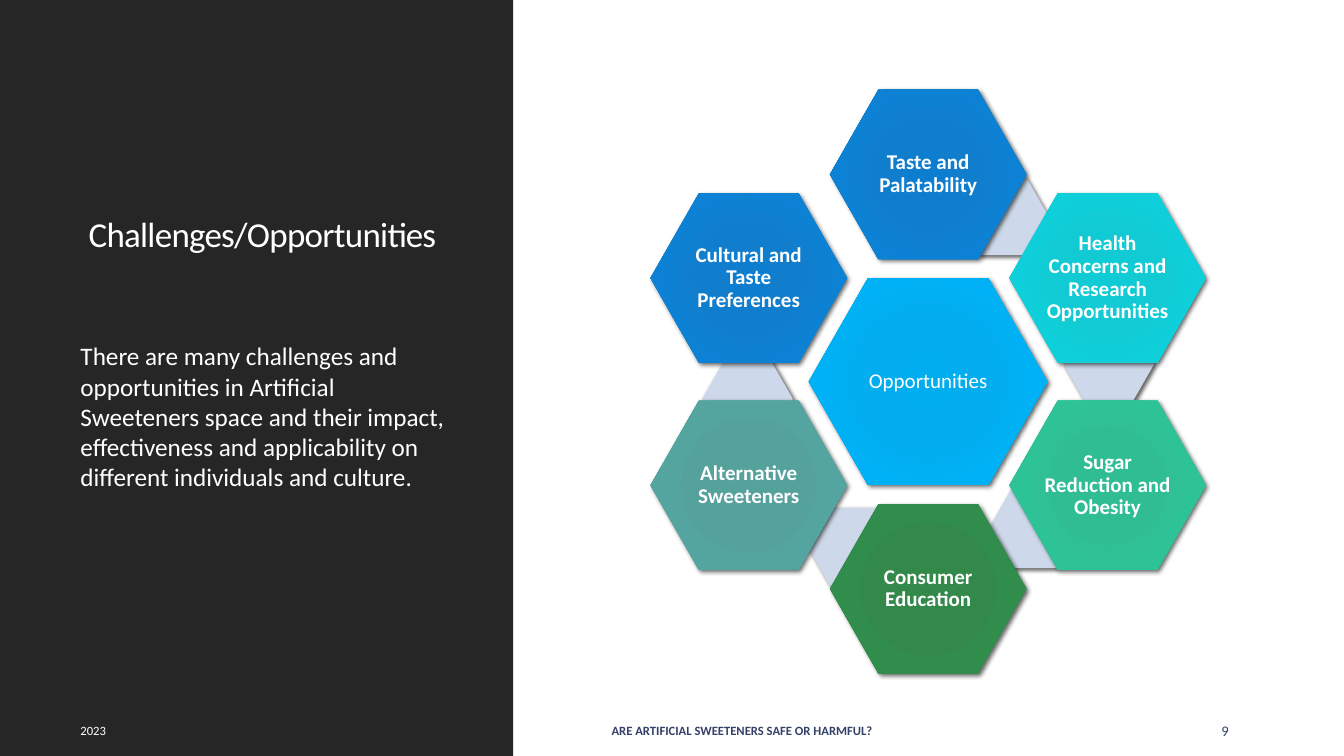
import math
import pptx
import pptx.util
import pptx.oxml
import pptx.oxml.ns
from pptx.dml.color import RGBColor
from pptx.enum.shapes import MSO_SHAPE
from pptx.enum.text import MSO_ANCHOR, PP_ALIGN

Pt = pptx.util.Pt

# Content
TITLE = "Challenges/Opportunities"
SUMMARY = ("There are many challenges and opportunities in Artificial Sweeteners space "
           "and their impact, effectiveness and applicability on different individuals "
           "and culture.")
YEAR = "2023"
FOOTER = "ARE ARTIFICIAL SWEETENERS SAFE OR HARMFUL?"
PAGE = "9"
HUB = "Opportunities"
HUB_SHADES = ("00ADEF", "03ADEE", "00B1F5", "12B1EE")
BLUE_SHADES = ("0D7ECF", "117ECD", "0D81D4", "1E84CE")
TOPICS = [  # clockwise from the top
    ("Taste and Palatability", BLUE_SHADES),
    ("Health Concerns and Research Opportunities", ("0ECBD5", "12CAD3", "0FD0DA", "20CBD4")),
    ("Sugar Reduction and Obesity", ("2DBE94", "30BD94", "2EC397", "3CC09A")),
    ("Consumer Education", ("2F8949", "32894A", "318D4B", "3A8C51")),
    ("Alternative Sweeteners", ("52A19C", "55A19C", "54A5A0", "5FA6A2")),
    ("Cultural and Taste Preferences", BLUE_SHADES),
]

# Style
FONT = "Calibri"
WHITE = RGBColor(0xFF, 0xFF, 0xFF)
CHARCOAL = RGBColor(0x26, 0x26, 0x26)
NAVY = RGBColor(0x34, 0x40, 0x68)
PALE_BLUE = RGBColor(0xCD, 0xD9, 0xEA)
STOPS = (0, 34, 70, 100)

# Ring geometry, in points
CENTER_X, CENTER_Y = 663, 272.6
HUB_SIZE = (170.6, 147.6)
TOPIC_SIZE = (140.4, 121)
ACCENT_SIZE = (64.8, 55.4)
TOPIC_RADIUS, ACCENT_RADIUS = 148, 129.6
STEP = 360 / len(TOPICS)
ACCENT_LEAD = 24.5  # degrees past the topic it belongs to

presentation = pptx.Presentation()
presentation.slide_width, presentation.slide_height = Pt(960), Pt(540)
slide = presentation.slides.add_slide(presentation.slide_layouts[6])


def style(paragraph, size, color, bold=False):
    font = paragraph.font
    font.name, font.size, font.bold = FONT, Pt(size), bold
    font.color.rgb = color


def add_text(text, left, top, width, height, size, color, anchor, bold=False):
    box = slide.shapes.add_textbox(Pt(left), Pt(top), Pt(width), Pt(height))
    frame = box.text_frame
    frame.word_wrap = True
    frame.vertical_anchor = anchor
    paragraph = frame.paragraphs[0]
    paragraph.text = text
    style(paragraph, size, color, bold)
    return paragraph


def on_ring(radius, degrees):
    angle = math.radians(degrees)
    return CENTER_X + radius * math.cos(angle), CENTER_Y + radius * math.sin(angle)


def add_hexagon(center, size, blur):
    (x, y), (width, height) = center, size
    hexagon = slide.shapes.add_shape(MSO_SHAPE.HEXAGON, Pt(x - width / 2), Pt(y - height / 2),
                                     Pt(width), Pt(height))
    hexagon.adjustments[0] = 0.286
    hexagon.line.fill.background()
    hexagon.shadow.inherit = False
    effects = hexagon._element.spPr.find(pptx.oxml.ns.qn("a:effectLst"))
    effects.append(pptx.oxml.parse_xml(
        f'<a:outerShdw {pptx.oxml.ns.nsdecls("a")} blurRad="{Pt(blur)}" dist="{Pt(2)}" '
        'dir="2700000" algn="tl" rotWithShape="0"><a:srgbClr val="000000">'
        '<a:alpha val="60000"/></a:srgbClr></a:outerShdw>'))
    return hexagon


def add_labelled_hexagon(text, shades, center, size, bold):
    hexagon = add_hexagon(center, size, 3.5)
    # Radial gradient goes right after the geometry
    stops = "".join(f'<a:gs pos="{stop * 1000}"><a:srgbClr val="{shade}"/></a:gs>'
                    for stop, shade in zip(STOPS, shades))
    geometry = hexagon._element.spPr.find(pptx.oxml.ns.qn("a:prstGeom"))
    geometry.addnext(pptx.oxml.parse_xml(
        f'<a:gradFill {pptx.oxml.ns.nsdecls("a")} rotWithShape="1"><a:gsLst>{stops}</a:gsLst>'
        '<a:path path="circle"><a:fillToRect l="100000" t="100000" r="100000" b="100000"/>'
        '</a:path></a:gradFill>'))
    frame = hexagon.text_frame
    frame.word_wrap = True
    frame.vertical_anchor = MSO_ANCHOR.MIDDLE
    frame.margin_left = frame.margin_right = frame.margin_top = frame.margin_bottom = Pt(1.5)
    paragraph = frame.paragraphs[0]
    paragraph.text = text
    paragraph.alignment = PP_ALIGN.CENTER
    paragraph.line_spacing = 0.9
    style(paragraph, 15, WHITE, bold)


# Left panel
panel = slide.shapes.add_shape(MSO_SHAPE.RECTANGLE, 0, 0, Pt(366.5), Pt(540))
panel.shadow.inherit = False
panel.fill.solid()
panel.fill.fore_color.rgb = CHARCOAL
panel.line.fill.background()

title = add_text(TITLE, 56.2, 20.9, 277.2, 164.9, 25, WHITE, MSO_ANCHOR.BOTTOM)
title.line_spacing = 0.9
title.runs[0]._r.get_or_add_rPr().set("spc", "-50")
add_text(SUMMARY, 50.4, 239.8, 277.2, 241.2, 18, WHITE, MSO_ANCHOR.TOP)

# Footer
for text, left, width, size, color, bold in [
    (YEAR, 50.4, 277.2, 9, WHITE, False),
    (FOOTER, 429.8, 419.8, 9, NAVY, True),
    (PAGE, 865.4, 61.2, 10.5, NAVY, False),
]:
    add_text(text, left, 507.6, width, 28.8, size, color, MSO_ANCHOR.MIDDLE, bold)

# Hub and ring; every topic but the last has an accent behind it
add_labelled_hexagon(HUB, HUB_SHADES, (CENTER_X, CENTER_Y), HUB_SIZE, False)
for index, (topic, shades) in enumerate(TOPICS):
    angle = -90 + index * STEP
    if index < len(TOPICS) - 1:
        accent = add_hexagon(on_ring(ACCENT_RADIUS, angle + ACCENT_LEAD), ACCENT_SIZE, 3)
        accent.fill.solid()
        accent.fill.fore_color.rgb = PALE_BLUE
    add_labelled_hexagon(topic, shades, on_ring(TOPIC_RADIUS, angle), TOPIC_SIZE, True)

presentation.save("out.pptx")
